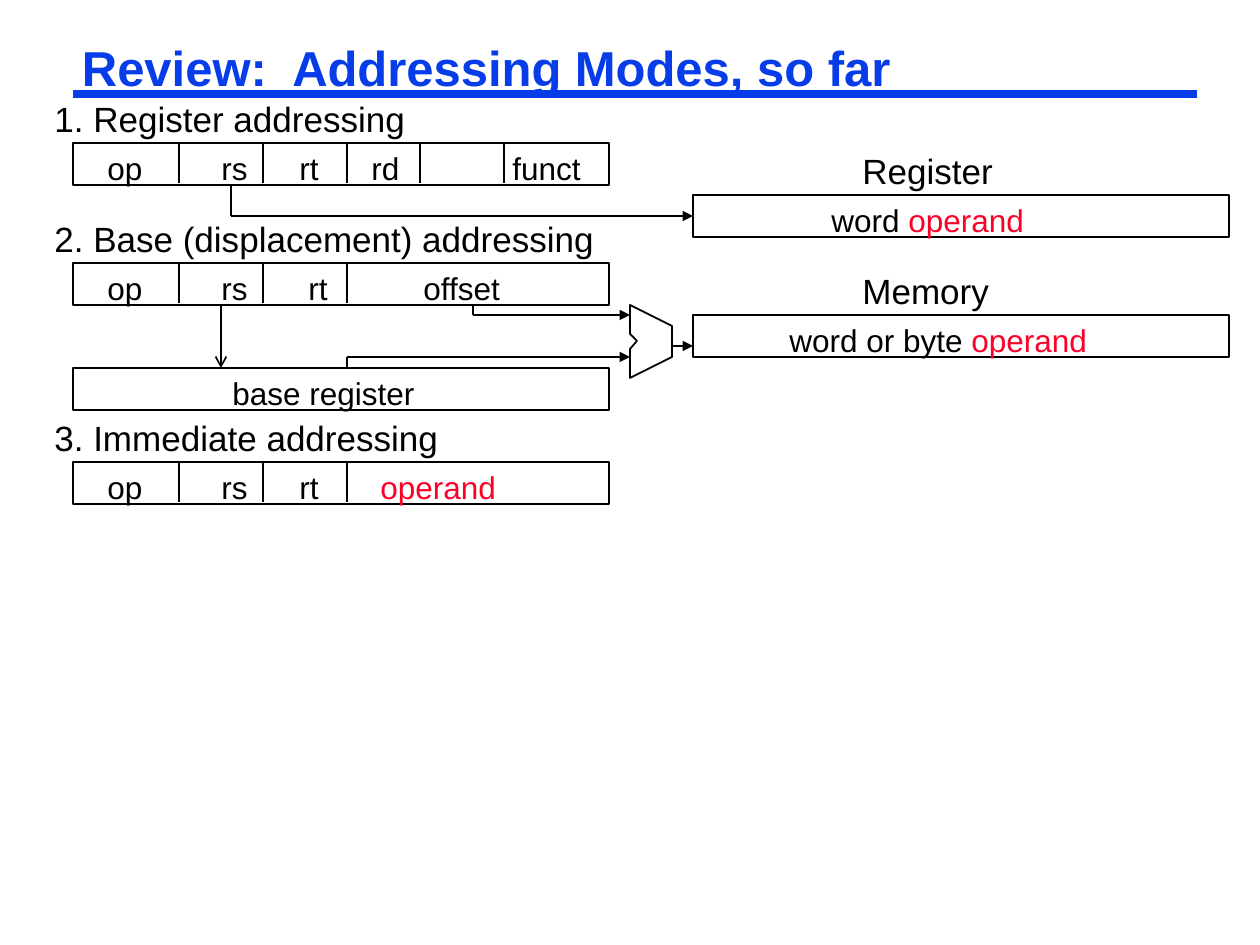
from dataclasses import dataclass

from lxml.etree import SubElement
from pptx import Presentation
from pptx.dml.color import RGBColor
from pptx.enum.shapes import MSO_CONNECTOR as Connector, MSO_SHAPE as Shape
from pptx.oxml.ns import qn
from pptx.util import Pt

PX = 914400 // 126
BLUE = RGBColor(0x06, 0x3D, 0xE8)
BLACK = RGBColor(0, 0, 0)
RED = RGBColor(0xFC, 0x01, 0x28)
FONT = "Arial"
OPERAND = "operand"

ROW_LEFT, RIGHT_LEFT = 73, 693
BOX_WIDTH, BOX_HEIGHT = 536, 42
DIVIDER_HEIGHT = 40
HEADING_RISE, HEADING_HEIGHT = 52, 54
FIELD_LEFT, FIELD_HEIGHT, INSET = 95, 50, 12
LEFT_SIDE = 1


@dataclass(frozen=True)
class Instruction:
    heading: str
    heading_width: int
    top: int
    fields: str
    fields_width: int
    field_starts: tuple[int, ...]
    dividers: tuple[int, ...]


@dataclass(frozen=True)
class Storage:
    heading: str
    top: int
    text: str
    text_left: int
    text_width: int


@dataclass(frozen=True)
class Wire:
    start: tuple[int, int]
    end: tuple[int, int]
    head: str = ""


INSTRUCTIONS = (
    Instruction("1. Register addressing", 483, 143, "op\trs\trt\trd\tfunct", 504,
                (221, 299, 371, 512), (179, 263, 347, 420, 504)),
    Instruction("2. Base (displacement) addressing", 620, 263, "op\trs\trt\toffset", 424,
                (221, 308, 423), (179, 263, 347)),
    Instruction("3. Immediate addressing", 483, 462, "op\trs\trt\toperand", 418,
                (221, 299, 380), (179, 263, 347)),
)
STORAGES = (
    Storage("Register", 195, "word operand", 819, 222),
    Storage("Memory", 315, "word or byte operand", 777, 326),
)
BASE_REGISTER_TOP = 368
ADDER = ((630, 305), (672, 326), (672, 357), (630, 378),
         (630, 349), (637, 341), (630, 334))
REGISTER_WIRE = Wire((231, 216), (RIGHT_LEFT, 216), "triangle")
WIRES = (
    Wire((231, 185), (231, 216)),
    Wire((473, 305), (473, 315)),
    Wire((473, 315), (630, 315), "triangle"),
    Wire((347, 357), (630, 357), "triangle"),
    Wire((347, 357), (347, 368)),
    Wire((672, 346), (RIGHT_LEFT, 346), "triangle"),
    Wire((221, 305), (221, 368), "arrow"),
)


def add_wire(page, wire: Wire, color: RGBColor = BLACK, width: float = 1):
    line = page.shapes.add_connector(
        Connector.STRAIGHT, *(value * PX for value in wire.start + wire.end))
    line.line.color.rgb = color
    line.line.width = Pt(width)
    if wire.head:
        SubElement(line.line._get_or_add_ln(), qn("a:tailEnd"), type=wire.head)
    SubElement(line._element.spPr, qn("a:effectLst"))
    return line


def outline(shape) -> None:
    shape.shadow.inherit = False
    shape.fill.background()
    shape.line.color.rgb = BLACK
    shape.line.width = Pt(1)


def add_box(page, left: int, top: int):
    box = page.shapes.add_shape(Shape.RECTANGLE, left * PX, top * PX,
                                BOX_WIDTH * PX, BOX_HEIGHT * PX)
    outline(box)
    return box


def add_text(page, text: str, left: int, top: int, width: int, height: int,
             size: int = 20, color: RGBColor = BLACK):
    """Write one line, with a closing "operand" in red."""
    box = page.shapes.add_textbox(left * PX, top * PX, width * PX, height * PX)
    box.text_frame.word_wrap = True
    para = box.text_frame.paragraphs[0]
    para.font.name, para.font.size = FONT, Pt(size)
    lead = text.removesuffix(OPERAND)
    for part, part_color in ((lead, color), (text[len(lead):], RED)):
        if part:
            span = para.add_run()
            span.text = part
            span.font.color.rgb = part_color
    return box


def add_tab_stops(para, starts: tuple[int, ...]) -> None:
    tabs = SubElement(para._p.get_or_add_pPr(), qn("a:tabLst"))
    para._p.pPr.insert(0, tabs)
    for start in starts:
        position = (start - FIELD_LEFT - INSET) * PX
        SubElement(tabs, qn("a:tab"), pos=str(position), algn="l")


def add_title(page) -> None:
    add_wire(page, Wire((ROW_LEFT, 94), (1197, 94)), BLUE, 4.5)
    title = add_text(page, "Review:  Addressing Modes, so far",
                     ROW_LEFT, 42, 1124, 58, 28, BLUE)
    frame = title.text_frame
    frame.margin_left = frame.margin_right = 9 * PX
    frame.margin_top = frame.margin_bottom = 4 * PX
    frame.paragraphs[0].font.bold = True
    frame.paragraphs[0].line_spacing = 0.87


def add_instruction(page, row: Instruction) -> None:
    add_text(page, row.heading, 42, row.top - HEADING_RISE,
             row.heading_width, HEADING_HEIGHT)
    add_box(page, ROW_LEFT, row.top)
    for x in row.dividers:
        add_wire(page, Wire((x, row.top), (x, row.top + DIVIDER_HEIGHT)))
    fields = add_text(page, row.fields, FIELD_LEFT, row.top,
                      row.fields_width, FIELD_HEIGHT, 18)
    add_tab_stops(fields.text_frame.paragraphs[0], row.field_starts)


def add_storage(page, storage: Storage):
    add_text(page, storage.heading, 850, storage.top - HEADING_RISE, 200, HEADING_HEIGHT)
    box = add_box(page, RIGHT_LEFT, storage.top)
    add_text(page, storage.text, storage.text_left, storage.top,
             storage.text_width, FIELD_HEIGHT, 18)
    return box


def add_adder(page) -> None:
    builder = page.shapes.build_freeform(*ADDER[0], scale=PX)
    builder.add_line_segments(ADDER[1:], close=True)
    outline(builder.convert_to_shape())


def main() -> None:
    deck = Presentation()
    deck.slide_width, deck.slide_height = 1260 * PX, 945 * PX
    page = deck.slides.add_slide(deck.slide_layouts[6])

    add_title(page)
    for row in INSTRUCTIONS:
        add_instruction(page, row)
    register_box, _ = [add_storage(page, storage) for storage in STORAGES]
    add_box(page, ROW_LEFT, BASE_REGISTER_TOP)
    add_text(page, "base register", 220, BASE_REGISTER_TOP, 212, FIELD_HEIGHT, 18)
    add_adder(page)
    for wire in WIRES:
        add_wire(page, wire)
    add_wire(page, REGISTER_WIRE).end_connect(register_box, LEFT_SIDE)

    deck.save("out.pptx")


if __name__ == "__main__":
    main()
